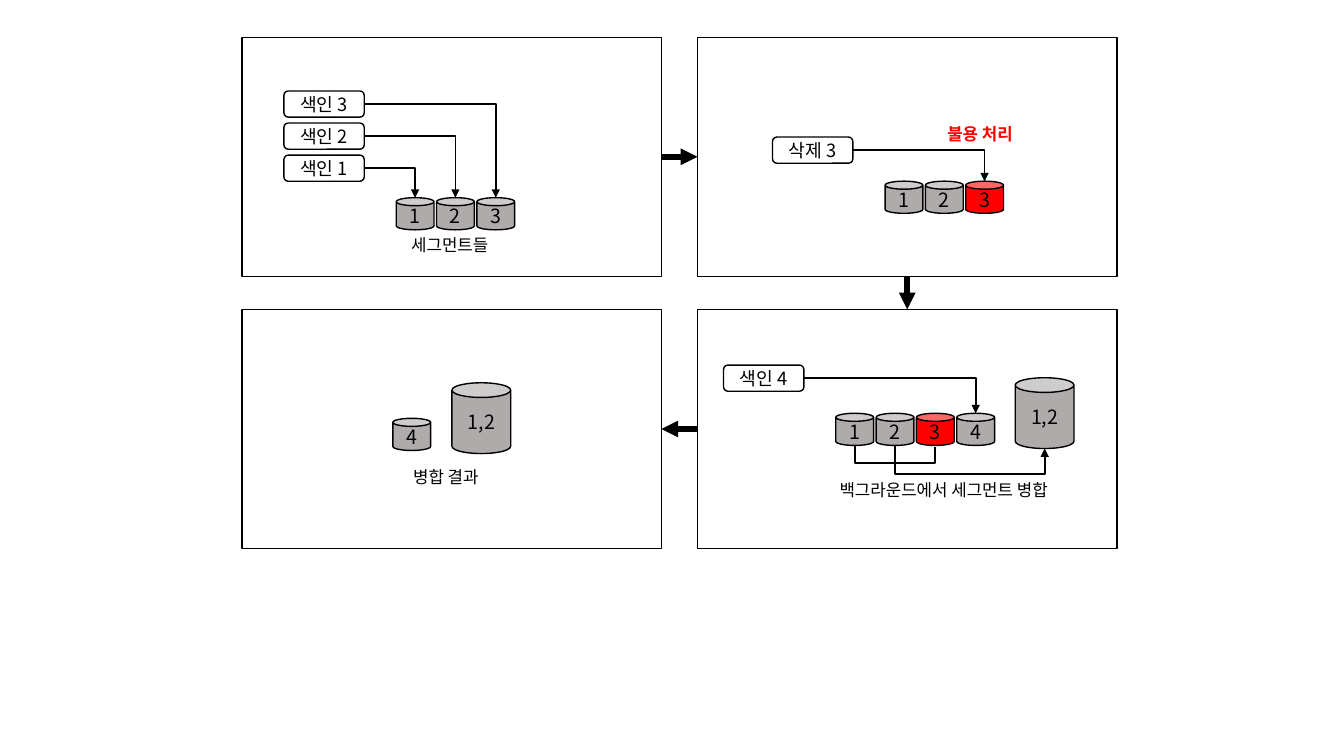
from lxml.etree import SubElement
from pptx import Presentation
from pptx.dml.color import RGBColor
from pptx.enum.shapes import MSO_CONNECTOR, MSO_SHAPE
from pptx.enum.text import MSO_ANCHOR, PP_ALIGN
from pptx.oxml.ns import qn
from pptx.util import Pt

COLORS = {"ink": "000000", "paper": "FFFFFF", "segment": "AFABAB", "deleted": "FF0000"}
FONT = "Noto Sans CJK KR"

COLUMNS = (172.8, 498.2)
ROWS = (26.6, 221)
PANEL_WIDTH, PANEL_HEIGHT = 299.6, 170.8
CAN_WIDTH, CAN_HEIGHT, CAN_STEP = 27, 23, 28.8
MERGED_WIDTH, MERGED_HEIGHT = 42, 50.6
LABEL_WIDTH, LABEL_HEIGHT = 57.4, 18.7


def write_text(frame, text, size=14, color="ink", bold=False, align=PP_ALIGN.LEFT):
    """Write one formatted line of text into a frame."""
    para = frame.paragraphs[0]
    para.alignment = align
    span = para.add_run()
    span.text = text
    span.font.size = Pt(size)
    span.font.bold = bold
    span.font.name = FONT
    span.font.color.rgb = RGBColor.from_string(COLORS[color])
    SubElement(span._r.get_or_add_rPr(), qn("a:ea")).set("typeface", FONT)


class Diagram:
    """Draw the index segment diagram on one slide."""

    def __init__(self, page):
        """Keep the page to draw on."""
        self.page = page

    def shape(self, kind, left, top, width, height, fill=None, text="", size=14):
        """Draw an outlined shape with optional fill and centred text."""
        box = self.page.shapes.add_shape(kind, Pt(left), Pt(top), Pt(width), Pt(height))
        box.shadow.inherit = False
        box.line.color.rgb = RGBColor.from_string(COLORS["ink"])
        box.line.width = Pt(1)
        if fill:
            box.fill.solid()
            box.fill.fore_color.rgb = RGBColor.from_string(COLORS[fill])
        else:
            box.fill.background()
        if text:
            frame = box.text_frame
            frame.margin_left = frame.margin_right = Pt(0)
            frame.margin_top = frame.margin_bottom = Pt(0)
            frame.vertical_anchor = MSO_ANCHOR.MIDDLE
            write_text(frame, text, size=size, align=PP_ALIGN.CENTER)

    def panel(self, column, row):
        """Draw the frame of one step."""
        self.shape(MSO_SHAPE.RECTANGLE, COLUMNS[column], ROWS[row], PANEL_WIDTH, PANEL_HEIGHT)

    def label(self, left, top, text):
        """Draw a rounded operation label."""
        self.shape(MSO_SHAPE.ROUNDED_RECTANGLE, left, top, LABEL_WIDTH, LABEL_HEIGHT,
                   "paper", text, 13)

    def segments(self, left, top, names, deleted=""):
        """Draw a row of small segment cans."""
        for index, name in enumerate(names):
            fill = "deleted" if name == deleted else "segment"
            self.shape(MSO_SHAPE.CAN, left + index * CAN_STEP, top, CAN_WIDTH, CAN_HEIGHT,
                       fill, name)

    def merged(self, left, top):
        """Draw the large merged segment can."""
        self.shape(MSO_SHAPE.CAN, left, top, MERGED_WIDTH, MERGED_HEIGHT, "segment", "1,2")

    def caption(self, left, top, width, text, **style):
        """Add a free line of text."""
        box = self.page.shapes.add_textbox(Pt(left), Pt(top), Pt(width), Pt(21.8))
        box.text_frame.word_wrap = True
        write_text(box.text_frame, text, size=12, **style)

    def connector(self, kind, start, end, width=1.25, arrow=True):
        """Draw a connector and return its shape properties."""
        line = self.page.shapes.add_connector(kind, *map(Pt, start + end))
        line.line.color.rgb = RGBColor.from_string(COLORS["ink"])
        line.line.width = Pt(width)
        properties = line.element.spPr
        if arrow:
            SubElement(properties.find(qn("a:ln")), qn("a:tailEnd")).set("type", "triangle")
        SubElement(properties, qn("a:effectLst"))
        return properties

    def drop(self, label_left, label_top, can_left, can_top):
        """Lead from a label across and down onto a can."""
        start = (label_left + LABEL_WIDTH, label_top + LABEL_HEIGHT / 2)
        end = (can_left + CAN_WIDTH / 2, can_top)
        properties = self.connector(MSO_CONNECTOR.ELBOW, start, end)
        properties.find(qn("a:prstGeom")).set("prst", "bentConnector2")

    def loop(self, start, end, bottom, arrow):
        """Lead down to a bottom level and up again."""
        span, rise = end[0] - start[0], end[1] - start[1]
        middle_x, middle_y = (start[0] + end[0]) / 2, (start[1] + end[1]) / 2
        properties = self.connector(
            MSO_CONNECTOR.ELBOW,
            (middle_x + rise / 2, middle_y - span / 2),
            (middle_x - rise / 2, middle_y + span / 2),
            arrow=arrow)
        properties.find(qn("a:xfrm")).set("rot", str(270 * 60000))
        geometry = properties.find(qn("a:prstGeom"))
        values = geometry.find(qn("a:avLst"))
        if values is None:
            values = SubElement(geometry, qn("a:avLst"))
        guide = SubElement(values, qn("a:gd"))
        guide.set("name", "adj1")
        guide.set("fmla", f"val {round((bottom - start[1]) / rise * 100000)}")


def draw_indexing(diagram):
    """Draw the step that indexes three documents."""
    left, top = 283, 141.2
    diagram.segments(left, top, "123")
    for index in range(3):
        label_top = 110.8 - index * 22.9
        diagram.label(202.8, label_top, f"색인 {index + 1}")
        diagram.drop(202.8, label_top, left + index * CAN_STEP, top)
    diagram.caption(286.6, 164, 77.8, "세그먼트들")


def draw_deletion(diagram):
    """Draw the step that marks a segment as deleted."""
    left, top = 632.2, 129.4
    diagram.segments(left, top, "123", deleted="3")
    diagram.label(551.8, 97.9, "삭제 3")
    diagram.drop(551.8, 97.9, left + 2 * CAN_STEP, top)
    diagram.caption(669.6, 84.8, 67.7, "불용 처리", color="deleted", bold=True)


def draw_merging(diagram):
    """Draw the step that merges segments in the background."""
    left, top = 597, 295.2
    center, base = left + CAN_WIDTH / 2, top + CAN_HEIGHT
    diagram.segments(left, top, "1234", deleted="3")
    diagram.label(516.8, 260.8, "색인 4")
    diagram.drop(516.8, 260.8, left + 3 * CAN_STEP, top)
    diagram.merged(725.2, 269.8)
    diagram.loop((center, base), (center + 2 * CAN_STEP, base + 1), 331, arrow=False)
    diagram.loop((center + CAN_STEP, base), (725.2 + MERGED_WIDTH / 2, 269.8 + MERGED_HEIGHT),
                 338.6, arrow=True)
    diagram.caption(592.6, 339.2, 183.6, "백그라운드에서 세그먼트 병합")


def draw_result(diagram):
    """Draw the segments left after merging."""
    diagram.segments(280.6, 298.8, "4")
    diagram.merged(322.8, 273.4)
    diagram.caption(288, 329.6, 69.8, "병합 결과")


def main():
    """Build the slide and save it."""
    deck = Presentation()
    deck.slide_width, deck.slide_height = Pt(960), Pt(540)
    diagram = Diagram(deck.slides.add_slide(deck.slide_layouts[6]))
    for column in range(2):
        for row in range(2):
            diagram.panel(column, row)
    for draw_step in (draw_indexing, draw_deletion, draw_merging, draw_result):
        draw_step(diagram)
    first_edge, second_edge = COLUMNS[0] + PANEL_WIDTH, COLUMNS[1]
    upper, lower = (row + PANEL_HEIGHT / 2 for row in ROWS)
    middle = COLUMNS[1] + PANEL_WIDTH / 2
    for start, end in (
        ((first_edge, upper), (second_edge, upper)),
        ((middle, ROWS[0] + PANEL_HEIGHT), (middle, ROWS[1])),
        ((second_edge, lower), (first_edge, lower)),
    ):
        diagram.connector(MSO_CONNECTOR.STRAIGHT, start, end, width=4)
    deck.save("out.pptx")


if __name__ == "__main__":
    main()
